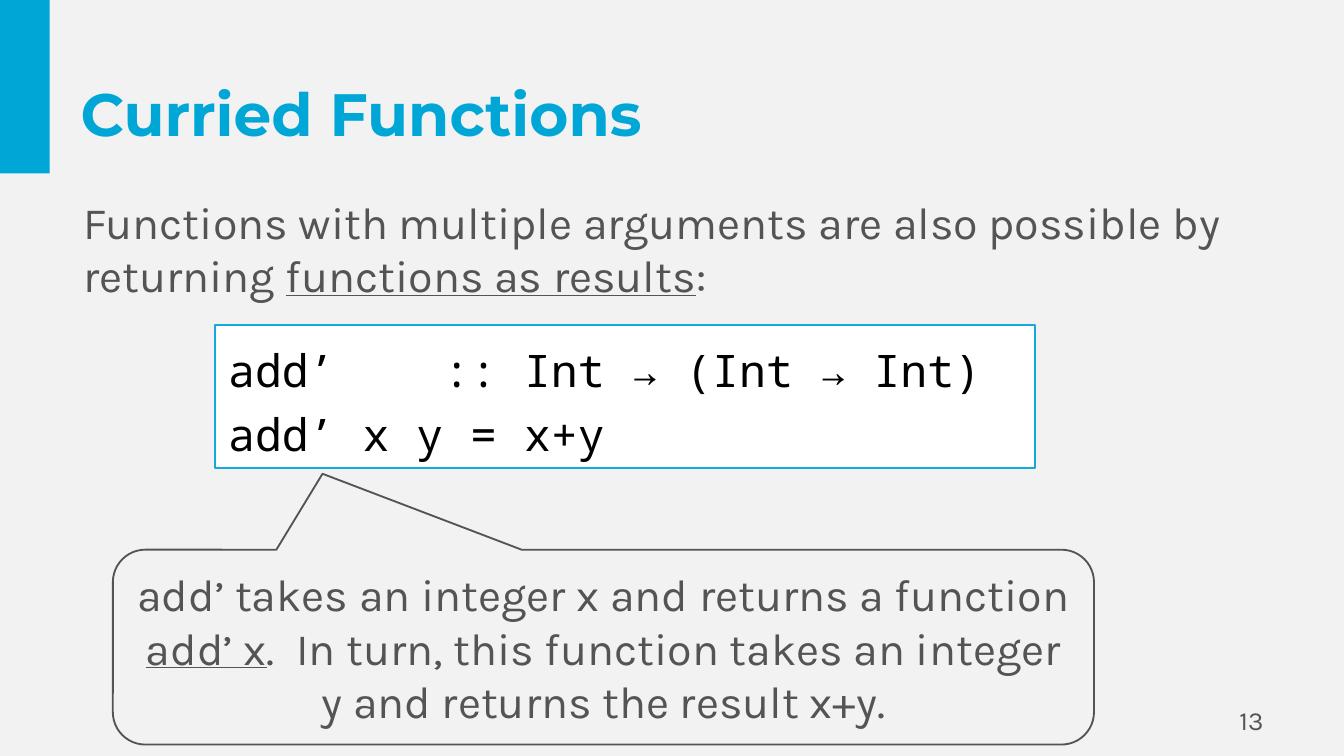
from pptx import Presentation
from pptx.dml.color import RGBColor
from pptx.enum.shapes import MSO_SHAPE as Shape
from pptx.enum.text import MSO_ANCHOR as Anchor, PP_ALIGN as Align
from pptx.util import Inches, Pt

COLORS = {"back": "F2F2F2", "brand": "00A6D6", "edge": "15A8DB",
          "text": "545454", "code": "000000", "white": "FFFFFF"}
SANS, HEAD, MONO = "Karla", "Montserrat", "Noto Sans Mono"


def color(name):
    return RGBColor.from_string(COLORS[name])


def add_shape(slide, kind, box, fill=None, line=None):
    shape = slide.shapes.add_shape(kind, *map(Inches, box))
    shape.shadow.inherit = False
    if fill:
        shape.fill.solid()
        shape.fill.fore_color.rgb = color(fill)
    else:
        shape.fill.background()
    if line:
        shape.line.color.rgb = color(line)
        shape.line.width = Pt(1)
    else:
        shape.line.fill.background()
    return shape


def write(shape, paras, font=SANS, size=24, ink="text", bold=False,
          align=Align.LEFT, space=None):
    """Fill a shape with paragraphs, each a list of (text, underlined) runs."""
    frame = shape.text_frame
    frame.word_wrap = True
    frame.vertical_anchor = Anchor.MIDDLE
    for i, runs in enumerate(paras):
        para = frame.add_paragraph() if i else frame.paragraphs[0]
        para.alignment = align
        para.line_spacing = space
        for text, under in runs:
            run = para.add_run()
            run.text = text
            run.font.name = font
            run.font.size = Pt(size)
            run.font.bold = bold
            run.font.underline = under
            run.font.color.rgb = color(ink)


def add_text(slide, box, paras, **style):
    write(slide.shapes.add_textbox(*map(Inches, box)), paras, **style)


def add_title(slide, box, text):
    title = slide.shapes.title
    title.left, title.top, title.width, title.height = map(Inches, box)
    write(title, [[(text, False)]], font=HEAD, size=32, ink="brand", bold=True)


def add_code(slide, box, lines):
    panel = add_shape(slide, Shape.RECTANGLE, box, "white", "edge")
    write(panel, [[(line, False)] for line in lines],
          font=MONO, ink="code", space=1.2)


def add_callout(slide, box, tip, runs):
    """Draw a rounded callout whose tip is an offset from its centre."""
    bubble = add_shape(slide, Shape.ROUNDED_RECTANGULAR_CALLOUT, box,
                       line="text")
    _, _, width, height = box
    bubble.adjustments[0] = tip[0] / width
    bubble.adjustments[1] = tip[1] / height
    write(bubble, [runs], align=Align.CENTER)


def main():
    deck = Presentation()
    deck.slide_width = Inches(10)
    deck.slide_height = deck.slide_width * 9 // 16
    slide = deck.slides.add_slide(deck.slide_layouts[5])
    slide.background.fill.solid()
    slide.background.fill.fore_color.rgb = color("back")

    add_shape(slide, Shape.RECTANGLE, (0, 0, 0.37, 1.29), "brand")
    add_title(slide, (0.5, 0.23, 9, 1.22), "Curried Functions")
    add_text(slide, (7.17, 5.21, 2.33, 0.3), [[("13", False)]],
             size=14, align=Align.RIGHT)
    add_text(slide, (0.52, 1.39, 9.12, 0.91), [[
        ("Functions with multiple arguments are also possible by returning ",
         False),
        ("functions as results", True),
        (":", False)]])
    add_code(slide, (1.6, 2.42, 6.1, 1.06),
             ["add’    :: Int → (Int → Int)", "add’ x y = x+y"])
    add_callout(slide, (0.84, 4.09, 7.3, 1.45), (-2.09, -1.29), [
        ("add’ takes an integer x and returns a function ", False),
        ("add’ x", True),
        (".  In turn, this function takes an integer y and returns "
         "the result x+y.", False)])
    deck.save("out.pptx")


if __name__ == "__main__":
    main()
